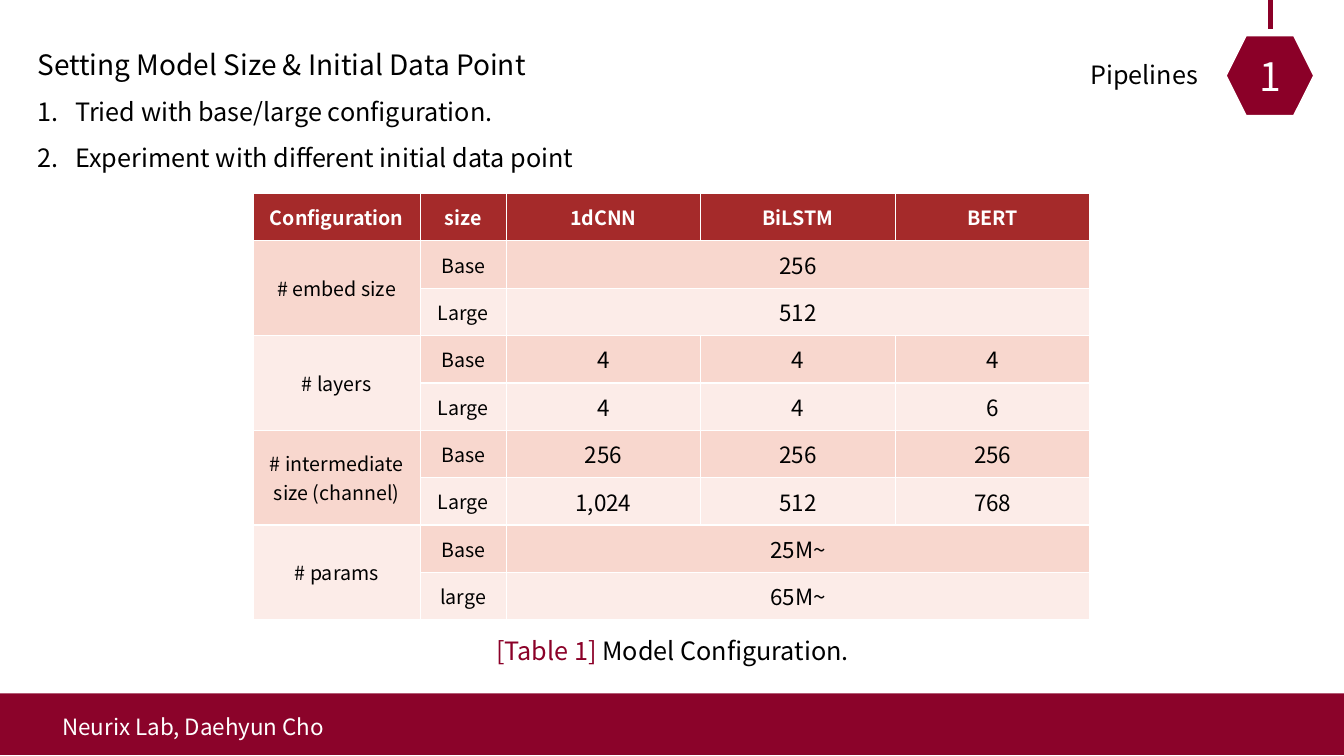
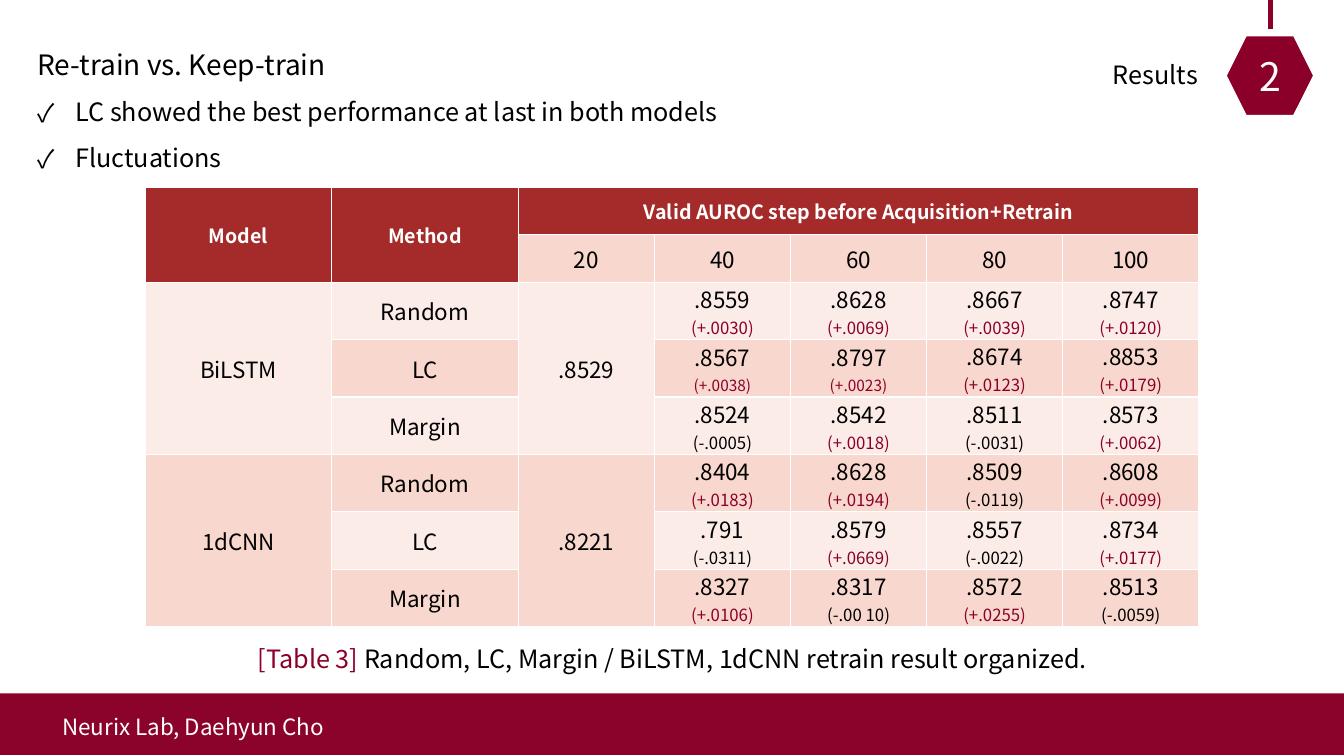
from dataclasses import dataclass
from lxml.etree import SubElement
from pptx import Presentation
from pptx.dml.color import RGBColor
from pptx.enum.shapes import MSO_CONNECTOR, MSO_SHAPE
from pptx.enum.text import MSO_ANCHOR, MSO_AUTO_SIZE, PP_ALIGN
from pptx.oxml.ns import qn
from pptx.util import Inches, Pt

FONT = "Noto Sans CJK KR"
WINE = RGBColor(0x8B, 0x00, 0x28)
BAND = RGBColor(0x8B, 0x03, 0x2A)
BRICK = RGBColor(0xA5, 0x2A, 0x2A)
PEACH = RGBColor(0xF8, 0xD7, 0xCE)
PALE = RGBColor(0xFC, 0xEC, 0xE8)
WHITE = RGBColor(0xFF, 0xFF, 0xFF)
BLACK = RGBColor(0x00, 0x00, 0x00)
LEFT = "<"
UP = "^"
TINY = {"(+.0038)", "(+.0023)"}


@dataclass
class Grid:
    left: float
    top: float
    cols: list[float]
    rows: list[float]
    cells: list[list[str]]
    small: int = 0


@dataclass
class Page:
    title: str
    mark: str
    items: list[str]
    topic: str
    grid: Grid
    label: str
    note: str
    foot: float


PAGES = [
    Page(
        "Setting Model Size & Initial Data Point", "1.",
        ["Tried with base/large configuration.",
         "Experiment with different initial data point"],
        "Pipelines",
        Grid(2.51, 1.92, [1.66, 0.85] + [1.93] * 3, [0.47] * 9, [
            ["Configuration", "size", "1dCNN", "BiLSTM", "BERT"],
            ["# embed size", "Base", "256", LEFT, LEFT],
            [UP, "Large", "512", LEFT, LEFT],
            ["# layers", "Base", "4", "4", "4"],
            [UP, "Large", "4", "4", "6"],
            ["# intermediate size (channel)", "Base", "256", "256", "256"],
            [UP, "Large", "1,024", "512", "768"],
            ["# params", "Base", "25M~", LEFT, LEFT],
            [UP, "large", "65M~", LEFT, LEFT],
        ], small=2),
        "[Table 1]", " Model Configuration.", 6.25),
    Page(
        "Re-train vs. Keep-train", "✓",
        ["LC showed the best performance at last in both models",
         "Fluctuations"],
        "Results",
        Grid(1.44, 1.86, [1.85] * 2 + [1.35] * 5, [0.47] * 2 + [0.57] * 6, [
            ["Model", "Method", "Valid AUROC step before Acquisition+Retrain",
             LEFT, LEFT, LEFT, LEFT],
            [UP, UP, "20", "40", "60", "80", "100"],
            ["BiLSTM", "Random", ".8529", ".8559\n(+.0030)",
             ".8628\n(+.0069)", ".8667\n(+.0039)", ".8747\n(+.0120)"],
            [UP, "LC", UP, ".8567\n(+.0038)",
             ".8797\n(+.0023)", ".8674\n(+.0123)", ".8853\n(+.0179)"],
            [UP, "Margin", UP, ".8524\n(-.0005)",
             ".8542\n(+.0018)", ".8511\n(-.0031)", ".8573\n(+.0062)"],
            ["1dCNN", "Random", ".8221", ".8404\n(+.0183)",
             ".8628\n(+.0194)", ".8509\n(-.0119)", ".8608\n(+.0099)"],
            [UP, "LC", UP, ".791\n(-.0311)",
             ".8579\n(+.0669)", ".8557\n(-.0022)", ".8734\n(+.0177)"],
            [UP, "Margin", UP, ".8327\n(+.0106)",
             ".8317\n(-.00 10)", ".8572\n(+.0255)", ".8513\n(-.0059)"],
        ]),
        "[Table 3]", " Random, LC, Margin / BiLSTM, 1dCNN retrain result organized.",
        6.33),
]


def write(para, text: str, size: float = 18, color: RGBColor = BLACK,
          bold: bool = False, align=PP_ALIGN.LEFT, space: float | None = None) -> None:
    run = para.add_run()
    run.text = text
    run.font.name = FONT
    run.font.size = Pt(size)
    run.font.bold = bold
    run.font.color.rgb = color
    para.alignment = align
    if space:
        para.line_spacing = space


def add_box(slide, left: float, top: float, width: float, height: float):
    frame = slide.shapes.add_textbox(
        Inches(left), Inches(top), Inches(width), Inches(height)).text_frame
    frame.word_wrap = True
    return frame


def add_form(slide, kind, left: float, top: float, width: float, height: float,
             fill: RGBColor):
    form = slide.shapes.add_shape(
        kind, Inches(left), Inches(top), Inches(width), Inches(height))
    form.shadow.inherit = False
    form.fill.solid()
    form.fill.fore_color.rgb = fill
    form.line.fill.background()
    return form


def add_mark(para, mark: str) -> None:
    props = para._p.get_or_add_pPr()
    props.set("marL", str(Inches(0.38)))
    props.set("indent", str(-Inches(0.38)))
    if mark == "1.":
        SubElement(props, qn("a:buAutoNum")).set("type", "arabicPeriod")
    else:
        SubElement(props, qn("a:buFont")).set("typeface", FONT)
        SubElement(props, qn("a:buChar")).set("char", mark)


def add_frame(slide, topic: str, number: int) -> None:
    add_form(slide, MSO_SHAPE.RECTANGLE, 0, 6.88, 13.33, 0.61, BAND)
    badge = add_form(slide, MSO_SHAPE.HEXAGON, 12.09, 0.29, 1.01, 0.92, WINE)
    badge.line.color.rgb = WHITE
    badge.line.width = Pt(10)
    badge.text_frame.vertical_anchor = MSO_ANCHOR.MIDDLE
    write(badge.text_frame.paragraphs[0], str(number), size=28, color=WHITE,
          align=PP_ALIGN.CENTER)
    cord = slide.shapes.add_connector(
        MSO_CONNECTOR.STRAIGHT, Inches(12.6), Inches(0), Inches(12.6), Inches(0.29))
    cord.line.color.rgb = WINE
    cord.line.width = Pt(3)
    SubElement(cord._element.spPr, qn("a:effectLst"))
    foot = add_box(slide, 0.52, 7.02, 2.85, 0.37)
    foot.vertical_anchor = MSO_ANCHOR.MIDDLE
    write(foot.paragraphs[0], "Neurix Lab, Daehyun Cho", size=16, color=WHITE)
    write(add_box(slide, 8.78, 0.54, 3.2, 0.4).paragraphs[0], topic,
          align=PP_ALIGN.RIGHT)


def add_head(slide, page: Page) -> None:
    title = slide.shapes.title
    title.left, title.top = Inches(0.27), Inches(0.25)
    title.width, title.height = Inches(8.5), Inches(0.6)
    frame = title.text_frame
    frame.auto_size = MSO_AUTO_SIZE.NONE
    frame.vertical_anchor = MSO_ANCHOR.TOP
    write(frame.paragraphs[0], page.title, size=20, space=1.5)
    body = add_box(slide, 0.27, 0.76, 11.96, 0.97)
    for i, item in enumerate(page.items):
        para = body.add_paragraph() if i else body.paragraphs[0]
        write(para, item, space=1.5)
        add_mark(para, page.mark)


def get_span(cells: list[list[str]], row: int, col: int) -> tuple[int, int]:
    high = wide = 1
    while row + high < len(cells) and cells[row + high][col] == UP:
        high += 1
    while col + wide < len(cells[row]) and cells[row][col + wide] == LEFT:
        wide += 1
    return high, wide


def get_fill(row: int, high: int) -> RGBColor:
    if row == 0:
        return BRICK
    step = row // 2 + 1 if high == 2 else row
    return PEACH if step % 2 else PALE


def fill_cell(cell, text: str, size: float, head: bool) -> None:
    cell.vertical_anchor = MSO_ANCHOR.MIDDLE
    value, *delta = text.split("\n")
    frame = cell.text_frame
    write(frame.paragraphs[0], value, size=size, bold=head,
          color=WHITE if head else BLACK, align=PP_ALIGN.CENTER)
    for line in delta:
        cell.margin_top = cell.margin_bottom = Inches(0)
        write(frame.add_paragraph(), line, size=11 if line in TINY else 12,
              color=WINE if "+" in line else BLACK, align=PP_ALIGN.CENTER)


def add_grid(slide, grid: Grid) -> None:
    table = slide.shapes.add_table(
        len(grid.rows), len(grid.cols), Inches(grid.left), Inches(grid.top),
        Inches(sum(grid.cols)), Inches(sum(grid.rows))).table
    table.horz_banding = False
    for col, width in zip(table.columns, grid.cols):
        col.width = Inches(width)
    for row, height in zip(table.rows, grid.rows):
        row.height = Inches(height)
    for r, line in enumerate(grid.cells):
        for c, text in enumerate(line):
            if text in (LEFT, UP):
                continue
            high, wide = get_span(grid.cells, r, c)
            for y in range(r, r + high):
                for x in range(c, c + wide):
                    fill = table.cell(y, x).fill
                    fill.solid()
                    fill.fore_color.rgb = get_fill(r, high)
            cell = table.cell(r, c)
            if high * wide > 1:
                cell.merge(table.cell(r + high - 1, c + wide - 1))
            fill_cell(cell, text, 14 if r == 0 or c < grid.small else 16, r == 0)


def add_note(slide, page: Page) -> None:
    para = add_box(slide, 1.44, page.foot, 10.46, 0.4).paragraphs[0]
    write(para, page.label, color=WINE, align=PP_ALIGN.CENTER)
    write(para, page.note, align=PP_ALIGN.CENTER)


def main() -> None:
    deck = Presentation()
    deck.slide_width, deck.slide_height = Inches(13.33), Inches(7.5)
    for number, page in enumerate(PAGES, 1):
        slide = deck.slides.add_slide(deck.slide_layouts[5])
        add_head(slide, page)
        add_frame(slide, page.topic, number)
        add_grid(slide, page.grid)
        add_note(slide, page)
    deck.save("out.pptx")


if __name__ == "__main__":
    main()
